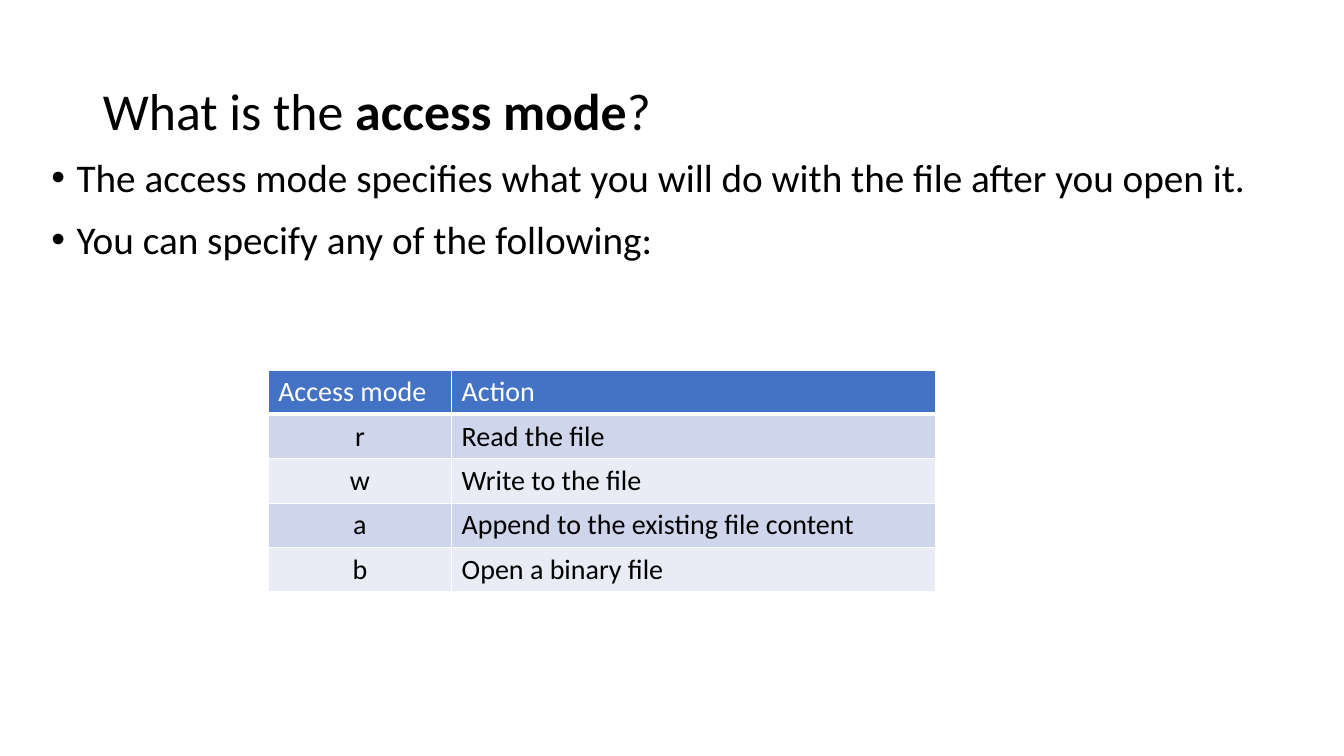
from lxml import etree
from pptx import Presentation
from pptx import util as u
from pptx.dml.color import RGBColor
from pptx.enum import text
from pptx.oxml import ns

FONT = "Calibri"
BLACK = RGBColor(0x00, 0x00, 0x00)
WHITE = RGBColor(0xFF, 0xFF, 0xFF)
HEADER_BLUE = RGBColor(0x44, 0x72, 0xC4)
BAND_DARK = RGBColor(0xCF, 0xD5, 0xEA)
BAND_LIGHT = RGBColor(0xE9, 0xEB, 0xF5)

TITLE_RUNS = [("What is the ", False), ("access mode", True), ("?", False)]
BULLETS = [
    "The access mode specifies what you will do with the file after you open it.",
    "You can specify any of the following:",
]
ACCESS_MODES = [
    ("Access mode", "Action"),
    ("r", "Read the file"),
    ("w", "Write to the file"),
    ("a", "Append to the existing file content"),
    ("b", "Open a binary file"),
]
COLUMN_WIDTHS = [1.82, 4.8]
ROW_HEIGHT = 0.44


def format_run(run, size, color=BLACK, bold=False):
    run.font.name = FONT
    run.font.size = u.Pt(size)
    run.font.bold = bold
    run.font.color.rgb = color


def place(shape, left, top, width, height):
    shape.left, shape.top = u.Inches(left), u.Inches(top)
    shape.width, shape.height = u.Inches(width), u.Inches(height)
    shape.text_frame.word_wrap = True
    shape.text_frame.auto_size = text.MSO_AUTO_SIZE.NONE


def fill_title(shape, left, top, width, height):
    place(shape, left, top, width, height)
    shape.text_frame.vertical_anchor = text.MSO_ANCHOR.MIDDLE
    paragraph = shape.text_frame.paragraphs[0]
    paragraph.alignment = text.PP_ALIGN.LEFT
    paragraph.line_spacing = 0.9
    for words, bold in TITLE_RUNS:
        run = paragraph.add_run()
        run.text = words
        format_run(run, 37, bold=bold)


def fill_bullets(shape, left, top, width, height):
    place(shape, left, top, width, height)
    shape.text_frame.vertical_anchor = text.MSO_ANCHOR.TOP
    shape.text_frame.text = "\n".join(BULLETS)
    for paragraph in shape.text_frame.paragraphs:
        paragraph.line_spacing = 0.9
        paragraph.space_before = u.Pt(14)
        properties = paragraph._p.get_or_add_pPr()
        properties.set("marL", str(u.Inches(0.25)))
        properties.set("indent", str(-u.Inches(0.25)))
        etree.SubElement(properties, ns.qn("a:buFont"), typeface="Arial")
        etree.SubElement(properties, ns.qn("a:buChar"), char="•")
        format_run(paragraph.runs[0], 28)


def set_borders(cell, bottom_width):
    properties = cell._tc.get_or_add_tcPr()
    widths = {"lnL": 1, "lnR": 1, "lnT": 1, "lnB": bottom_width}
    for position, (side, width) in enumerate(widths.items()):
        line = etree.Element(ns.qn(f"a:{side}"), w=str(u.Pt(width)))
        solid = etree.SubElement(line, ns.qn("a:solidFill"))
        etree.SubElement(solid, ns.qn("a:srgbClr"), val=str(WHITE))
        properties.insert(position, line)


def add_mode_table(slide, left, top):
    frame = slide.shapes.add_table(
        len(ACCESS_MODES), len(COLUMN_WIDTHS), u.Inches(left), u.Inches(top),
        u.Inches(sum(COLUMN_WIDTHS)), u.Inches(ROW_HEIGHT * len(ACCESS_MODES)))
    table = frame.table
    for column, width in zip(table.columns, COLUMN_WIDTHS):
        column.width = u.Inches(width)
    for row_index, words in enumerate(ACCESS_MODES):
        is_header = row_index == 0
        band = BAND_DARK if row_index % 2 else BAND_LIGHT
        table.rows[row_index].height = u.Inches(ROW_HEIGHT)
        for column_index, word in enumerate(words):
            cell = table.cell(row_index, column_index)
            cell.text_frame.text = word
            cell.fill.solid()
            cell.fill.fore_color.rgb = HEADER_BLUE if is_header else band
            set_borders(cell, 3 if is_header else 1)
            paragraph = cell.text_frame.paragraphs[0]
            centred = column_index == 0 and not is_header
            paragraph.alignment = text.PP_ALIGN.CENTER if centred else text.PP_ALIGN.LEFT
            format_run(paragraph.runs[0], 20, WHITE if is_header else BLACK)


def main():
    presentation = Presentation()
    presentation.slide_width = u.Inches(13.33)
    presentation.slide_height = u.Inches(7.5)
    slide = presentation.slides.add_slide(presentation.slide_layouts[1])
    fill_title(slide.shapes.title, 0.92, 0.4, 11.5, 1.45)
    fill_bullets(slide.placeholders[1], 0.41, 1.52, 12.6, 5.79)
    add_mode_table(slide, 2.66, 3.67)
    presentation.save("out.pptx")


if __name__ == "__main__":
    main()
